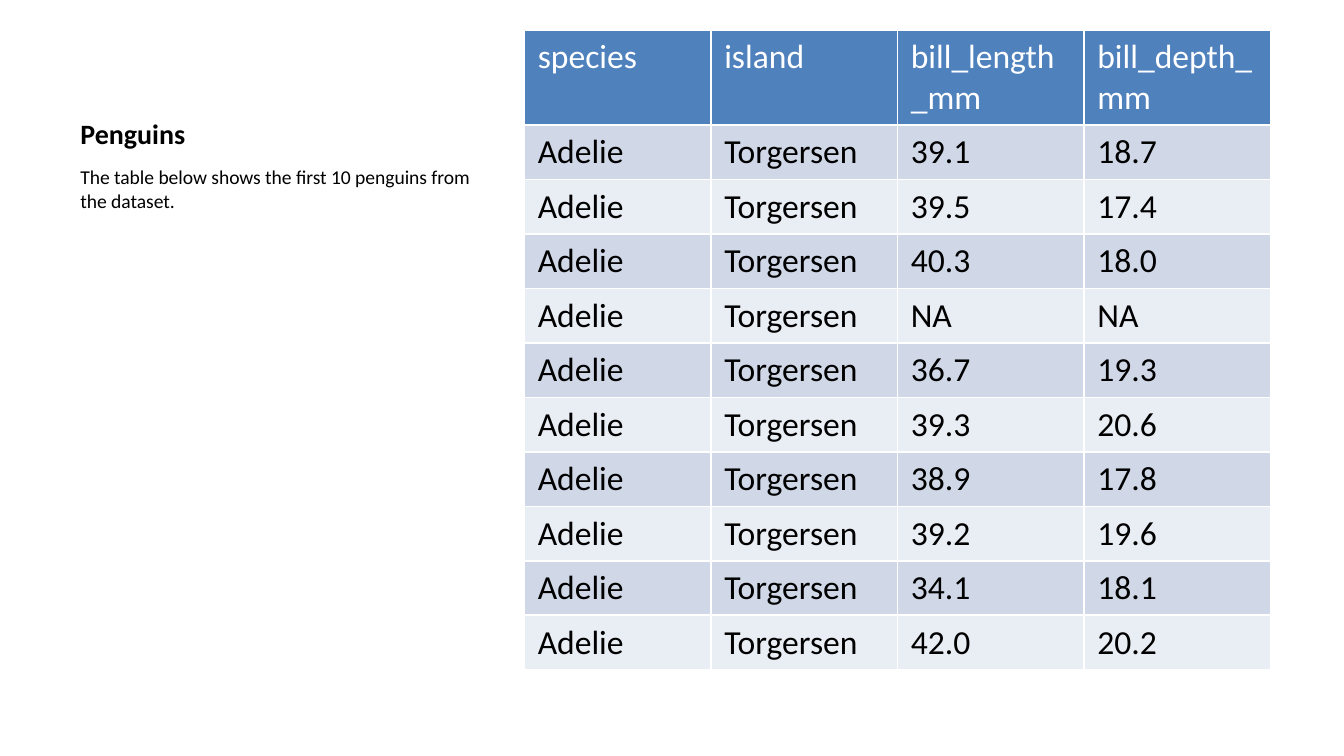
from pptx import Presentation
from pptx.dml.color import RGBColor
from pptx.enum.text import MSO_ANCHOR
from pptx.util import Cm, Pt

TOP, BOTTOM = MSO_ANCHOR.TOP, MSO_ANCHOR.BOTTOM
BLACK, WHITE, BLUE = "000000", "FFFFFF", "4F81BD"
BANDS = ("D0D8E8", "E9EDF4")
HEADS = ("species", "island", "bill_length_mm", "bill_depth_mm")
BILLS = (
    ("39.1", "18.7"), ("39.5", "17.4"), ("40.3", "18.0"), ("NA", "NA"),
    ("36.7", "19.3"), ("39.3", "20.6"), ("38.9", "17.8"), ("39.2", "19.6"),
    ("34.1", "18.1"), ("42.0", "20.2"),
)
HEAD_HIGH, ROW_HIGH = 1.79, 1.03


def color(code):
    return RGBColor.from_string(code)


def write(frame, text, size, ink=BLACK, bold=False):
    run = frame.paragraphs[0].add_run()
    run.text = text
    style = {"name": "Calibri", "size": Pt(size), "bold": bold}
    for key, value in style.items():
        setattr(run.font, key, value)
    run.font.color.rgb = color(ink)


def add_label(slide, box, text, size, anchor=TOP, bold=False):
    frame = slide.shapes.add_textbox(*map(Cm, box)).text_frame
    frame.word_wrap = True
    frame.vertical_anchor = anchor
    write(frame, text, size, bold=bold)


def add_intro(slide, left, top, width, height):
    head = 2.44
    add_label(slide, (left, top, width, head - 0.03), "Penguins", 15, BOTTOM, True)
    add_label(slide, (left, top + head, width, height - head),
              "The table below shows the first 10 penguins from the dataset.", 10.5)


def add_grid(slide, left, top, width, height):
    """Fill the box with the penguin table; white rules come from its style."""
    rows = [HEADS] + [("Adelie", "Torgersen", *bill) for bill in BILLS]
    box = map(Cm, (left, top, width, height))
    table = slide.shapes.add_table(len(rows), len(HEADS), *box).table
    for col in table.columns:
        col.width = Cm(width / len(HEADS))
    for i, row in enumerate(rows):
        table.rows[i].height = Cm(ROW_HIGH if i else HEAD_HIGH)
        fill, ink = (BANDS[(i - 1) % 2], BLACK) if i else (BLUE, WHITE)
        for j, text in enumerate(row):
            cell = table.cell(i, j)
            cell.fill.solid()
            cell.fill.fore_color.rgb = color(fill)
            write(cell.text_frame, text, 18, ink)


def main():
    deck = Presentation()
    deck.slide_width, deck.slide_height = Cm(25.4), Cm(14.29)
    slide = deck.slides.add_slide(deck.slide_layouts[6])
    add_intro(slide, 1.27, 0.56, 8.36, 12.22)
    add_grid(slide, 9.91, 0.57, 14.1, HEAD_HIGH + len(BILLS) * ROW_HIGH)
    deck.save("out.pptx")


if __name__ == "__main__":
    main()
